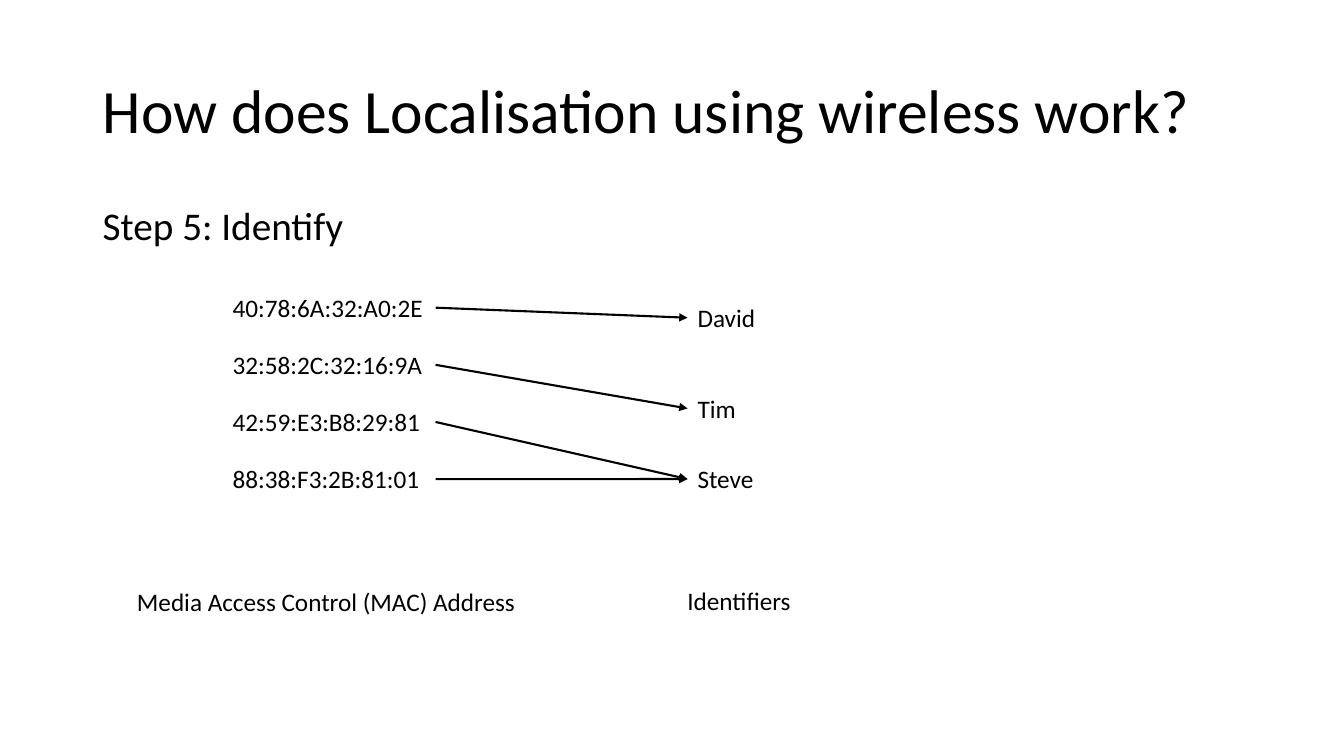
from lxml.etree import SubElement
from pptx import Presentation
from pptx.dml.color import RGBColor
from pptx.enum.shapes import MSO_CONNECTOR
from pptx.enum.text import MSO_ANCHOR, MSO_AUTO_SIZE, PP_ALIGN
from pptx.oxml.ns import qn
from pptx.util import Inches, Pt

BLACK = RGBColor(0, 0, 0)
WHITE = RGBColor(255, 255, 255)

MARGIN, CONTENT_W = 6.9, 86.25
MAC_X, MAC_W, MAC_Y, MAC_STEP = 16.58, 15.83, 38, 7.56
NAME_X, NAME_W = 51.16, 25.06
LABEL_H = 5.4

MACS = {
    "40:78:6A:32:A0:2E": "David",
    "32:58:2C:32:16:9A": "Tim",
    "42:59:E3:B8:29:81": "Steve",
    "88:38:F3:2B:81:01": "Steve",
}
NAME_Y = {"David": 39.33, "Tim": 51.33, "Steve": 60.67}


class Deck:
    font = "Calibri"

    def __init__(self):
        self.prs = Presentation()
        self.prs.slide_width, self.prs.slide_height = Inches(13.33), Inches(7.5)
        self.s = self.prs.slides.add_slide(self.prs.slide_layouts[5])
        fill = self.s.background.fill
        fill.solid()
        fill.fore_color.rgb = WHITE

    def x(self, percent):
        return round(self.prs.slide_width * percent / 100)

    def y(self, percent):
        return round(self.prs.slide_height * percent / 100)

    def set_text(self, sp, text, size, anchor=MSO_ANCHOR.TOP, **spacing):
        tf = sp.text_frame
        frame = {"word_wrap": True, "auto_size": MSO_AUTO_SIZE.NONE, "vertical_anchor": anchor}
        p = tf.paragraphs[0]
        r = p.add_run()
        r.text = text
        formats = (
            (tf, frame),
            (p, {"alignment": PP_ALIGN.LEFT, **spacing}),
            (r.font, {"name": self.font, "size": Pt(size)}),
            (r.font.color, {"rgb": BLACK}),
        )
        for target, values in formats:
            for name, value in values.items():
                setattr(target, name, value)

    def title(self, text, x, y, w, h):
        sp = self.s.shapes.title
        box = {"left": self.x(x), "top": self.y(y), "width": self.x(w), "height": self.y(h)}
        for name, value in box.items():
            setattr(sp, name, value)
        self.set_text(sp, text, 44, MSO_ANCHOR.MIDDLE, line_spacing=0.9)

    def text(self, text, x, y, w, h=LABEL_H, size=18, **spacing):
        sp = self.s.shapes.add_textbox(self.x(x), self.y(y), self.x(w), self.y(h))
        self.set_text(sp, text, size, **spacing)

    def arrow(self, x1, y1, x2, y2):
        line = self.s.shapes.add_connector(
            MSO_CONNECTOR.STRAIGHT, self.x(x1), self.y(y1), self.x(x2), self.y(y2))
        line.line.color.rgb = BLACK
        line.line.width = Pt(1.5)
        spPr = line._element.spPr
        SubElement(spPr.get_or_add_ln(), qn("a:tailEnd"), type="triangle")
        SubElement(spPr, qn("a:effectLst"))


def main():
    d = Deck()
    d.title("How does Localisation using wireless work?", MARGIN, 5.33, CONTENT_W, 19.33)
    d.text("Step 5: Identify", MARGIN, 26.67, CONTENT_W, 63.47, 28,
           line_spacing=0.9, space_before=Pt(10))
    for name, y in NAME_Y.items():
        d.text(name, NAME_X, y, NAME_W)
    for i, (mac, name) in enumerate(MACS.items()):
        y = MAC_Y + i * MAC_STEP
        d.text(mac, MAC_X, y, MAC_W)
        d.arrow(MAC_X + MAC_W, y + LABEL_H / 2, NAME_X, NAME_Y[name] + LABEL_H / 2)
    d.text("Media Access Control (MAC) Address", 9.45, 76.93, 30.08)
    d.text("Identifiers", 50.41, 76.8, 21.46)
    d.prs.save("out.pptx")


if __name__ == "__main__":
    main()
